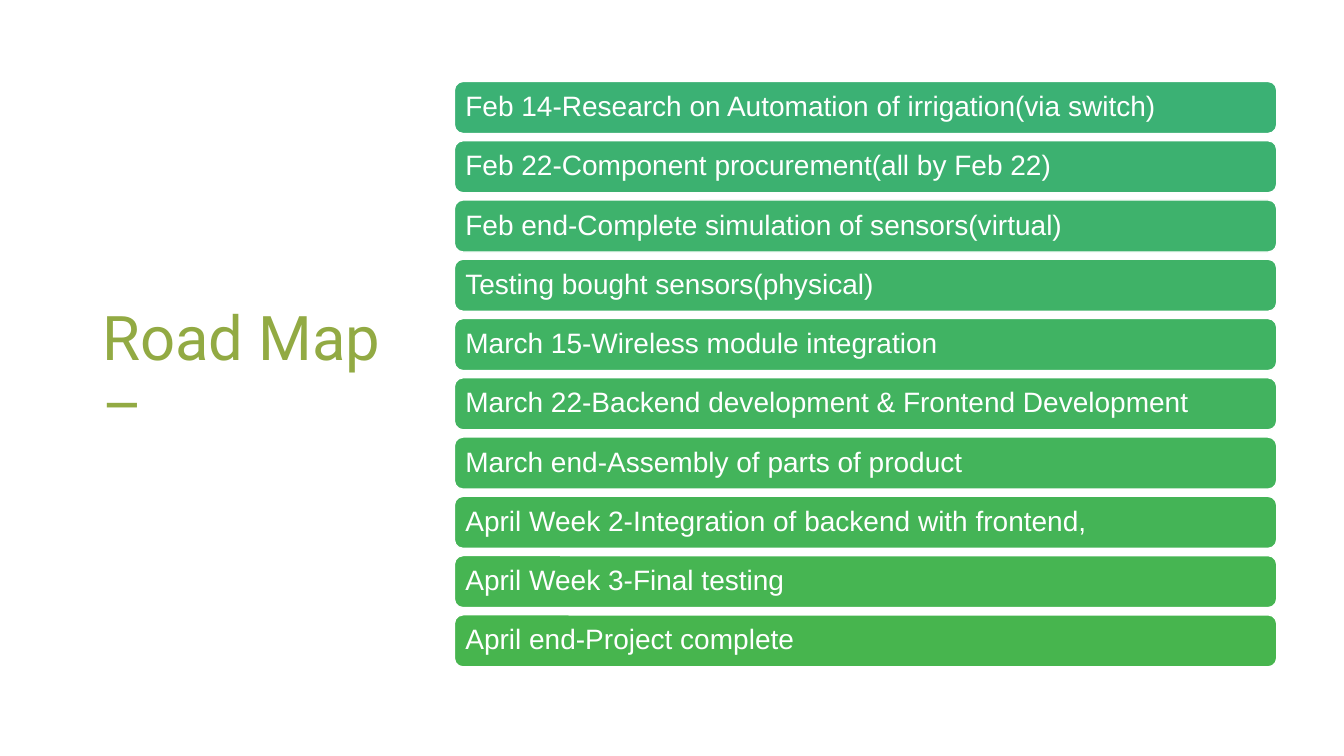
from pptx import Presentation
from pptx.dml.color import RGBColor
from pptx.enum.shapes import MSO_SHAPE as Shape
from pptx.enum.text import MSO_ANCHOR as Anchor, PP_ALIGN as Align
from pptx.util import Pt

PX = 7620  # EMU per px, 120 px to the inch
COLORS = {
    "white": "FFFFFF",
    "title": "92AA43",
    "first_bar": "3BB174",
    "last_bar": "47B54E",
}
MILESTONES = [
    "Feb 14-Research on Automation of irrigation(via switch)",
    "Feb 22-Component procurement(all by Feb 22)",
    "Feb end-Complete simulation of sensors(virtual)",
    "Testing bought sensors(physical)",
    "March 15-Wireless module integration",
    "March 22-Backend development & Frontend Development",
    "March end-Assembly of parts of product",
    "April Week 2-Integration of backend with frontend,",
    "April Week 3-Final testing",
    "April end-Project complete",
]
BAR_LEFT, BAR_WIDTH, BAR_HEIGHT = 541, 979, 62
FIRST_TOP, LAST_TOP = 97, 732
BAR_INSET = 10


def color(name):
    return RGBColor.from_string(COLORS[name])


def write(shape, text, font_name, size, color_name):
    frame = shape.text_frame
    frame.word_wrap = True
    frame.vertical_anchor = Anchor.MIDDLE
    paragraph = frame.paragraphs[0]
    paragraph.alignment = Align.LEFT
    paragraph.line_spacing = 0.9
    run = paragraph.add_run()
    run.text = text
    run.font.name = font_name
    run.font.size = Pt(size)
    run.font.color.rgb = color(color_name)


presentation = Presentation()
presentation.slide_width = 1600 * PX
presentation.slide_height = 900 * PX
slide = presentation.slides.add_slide(presentation.slide_layouts[6])
slide.background.fill.solid()
slide.background.fill.fore_color.rgb = color("white")

# Title
title = slide.shapes.add_textbox(110 * PX, 80 * PX, 388 * PX, 731 * PX)
write(title, "Road Map –", "Roboto", 44, "title")

# Milestone bars, evenly spaced and shaded from first to last colour
for index, milestone in enumerate(MILESTONES):
    share = index / (len(MILESTONES) - 1)
    top = round((FIRST_TOP + (LAST_TOP - FIRST_TOP) * share) * PX)
    bar = slide.shapes.add_shape(
        Shape.ROUNDED_RECTANGLE, BAR_LEFT * PX, top, BAR_WIDTH * PX, BAR_HEIGHT * PX
    )
    bar.shadow.inherit = False
    bar.fill.solid()
    bar.fill.fore_color.rgb = RGBColor(*(
        round(start + (end - start) * share)
        for start, end in zip(color("first_bar"), color("last_bar"))
    ))
    bar.line.color.rgb = color("white")
    bar.line.width = Pt(1)
    frame = bar.text_frame
    frame.margin_left = frame.margin_right = BAR_INSET * PX
    frame.margin_top = frame.margin_bottom = 0
    write(bar, milestone, "Arial", 20, "white")

presentation.save("out.pptx")
